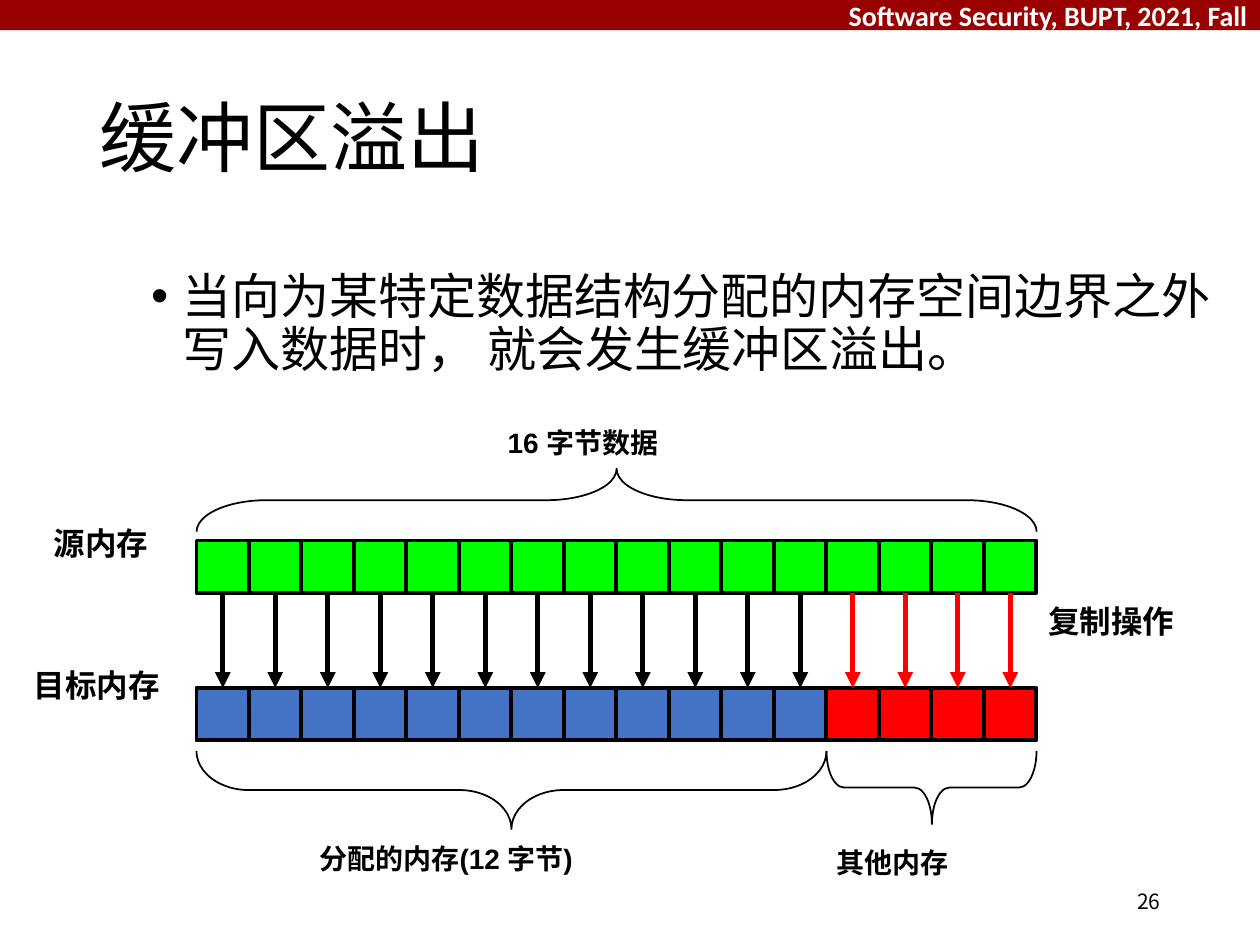
"""Build the buffer overflow slide with its memory copy diagram."""
from lxml import etree
from pptx import Presentation
from pptx.dml.color import RGBColor
from pptx.enum.shapes import MSO_CONNECTOR, MSO_SHAPE
from pptx.enum.text import MSO_ANCHOR, MSO_AUTO_SIZE, PP_ALIGN
from pptx.oxml.ns import qn
from pptx.util import Inches, Pt

RECTANGLE, BRACE = MSO_SHAPE.RECTANGLE, MSO_SHAPE.LEFT_BRACE
STRAIGHT = MSO_CONNECTOR.STRAIGHT
LEFT, RIGHT = PP_ALIGN.LEFT, PP_ALIGN.RIGHT
TOP, MIDDLE = MSO_ANCHOR.TOP, MSO_ANCHOR.MIDDLE
NO_AUTOSIZE = MSO_AUTO_SIZE.NONE

BLACK, WHITE, MAROON = "000000", "FFFFFF", "990000"
GREEN, BLUE, RED = "00FF00", "4472C4", "FF0000"

TITLE = "缓冲区溢出"
BODY = "当向为某特定数据结构分配的内存空间边界之外写入数据时， 就会发生缓冲区溢出。"
HEADER = "Software Security, BUPT, 2021, Fall"
PAGE_NUMBER = "26"
LABELS = [
    ("16 字节数据", (3.93, 3.33, 1.93, 0.37), 16, True),
    ("源内存", (0.33, 4.11, 0.97, 0.4), 18, False),
    ("复制操作", (8.22, 4.73, 1.22, 0.4), 18, False),
    ("目标内存", (0.17, 5.24, 1.22, 0.4), 18, False),
    ("分配的内存(12 字节)", (2.44, 6.63, 2.25, 0.37), 16, True),
    ("其他内存", (6.54, 6.66, 1.11, 0.37), 16, False),
]

COUNT, ALLOCATED = 16, 12
CELL = 5 / 12
GRID_LEFT, SOURCE_TOP, TARGET_TOP = 1.56, 4.29, 5.46
BRACES = [
    (0, COUNT, 3.72, 0.5, 90, (1.111, 0.5)),
    (0, ALLOCATED, 5.96, 0.62, 270, (0.667, 0.5)),
    (ALLOCATED, COUNT, 5.96, 0.58, 270, (0.238, 0.502)),
]


def color(value):
    return RGBColor.from_string(value)


def place(shape, box):
    shape.left, shape.top, shape.width, shape.height = map(Inches, box)


def write(shape, text, size, name="Arial", ink=BLACK, bold=False,
          align=LEFT, anchor=TOP, wrap=True):
    frame = shape.text_frame
    frame.text = text
    frame.word_wrap = wrap
    frame.auto_size = NO_AUTOSIZE
    frame.vertical_anchor = anchor
    para = frame.paragraphs[0]
    para.alignment = align
    para.font.size, para.font.name, para.font.bold = Pt(size), name, bold
    para.font.color.rgb = color(ink)
    return para


def add_text(page, text, box, size, **style):
    return write(page.shapes.add_textbox(*map(Inches, box)), text, size, **style)


def add_rectangle(page, box, fill, line_width=None):
    shape = page.shapes.add_shape(RECTANGLE, *map(Inches, box))
    shape.shadow.inherit = False
    shape.fill.solid()
    shape.fill.fore_color.rgb = color(fill)
    if line_width:
        shape.line.color.rgb = color(BLACK)
        shape.line.width = Pt(line_width)
    else:
        shape.line.fill.background()


def add_brace(page, first, last, top, depth, rotation, adjustments):
    span = (last - first) * CELL
    center_x = GRID_LEFT + first * CELL + span / 2
    box = (center_x - depth / 2, top + depth / 2 - span / 2, depth, span)
    brace = page.shapes.add_shape(BRACE, *map(Inches, box))
    brace.rotation = rotation
    brace.shadow.inherit = False
    brace.fill.background()
    brace.line.color.rgb = color(BLACK)
    brace.line.width = Pt(1)
    for index, value in enumerate(adjustments):
        brace.adjustments[index] = value


def add_arrow(page, x, top, bottom, ink):
    arrow = page.shapes.add_connector(STRAIGHT, *map(Inches, (x, top, x, bottom)))
    arrow.line.color.rgb = color(ink)
    arrow.line.width = Pt(3)
    properties = arrow._element.spPr
    etree.SubElement(properties.find(qn("a:ln")), qn("a:tailEnd"), type="triangle")
    etree.SubElement(properties, qn("a:effectLst"))


deck = Presentation()
deck.slide_width, deck.slide_height = Inches(10), Inches(7.5)
page = deck.slides.add_slide(deck.slide_layouts[1])

add_rectangle(page, (0, -0.01, 10, 0.25), MAROON)
add_text(page, HEADER, (4.17, -0.06, 5.83, 0.37), 16, name="Calibri",
         ink=WHITE, bold=True, align=RIGHT)

title, body = page.placeholders
place(title, (0.69, 0.4, 8.62, 1.45))
write(title, TITLE, 44, anchor=MIDDLE).line_spacing = 0.9

place(body, (1.1, 2.11, 8.91, 1.01))
para = write(body, BODY, 28)
para.line_spacing = 0.9
para.space_before = Pt(10)
bullet = para._p.get_or_add_pPr()
bullet.set("marL", str(Inches(0.25)))
bullet.set("indent", str(Inches(-0.25)))

for brace in BRACES:
    add_brace(page, *brace)
for text, box, size, wrap in LABELS:
    add_text(page, text, box, size, bold=True, wrap=wrap)

for index in range(COUNT):
    left = GRID_LEFT + index * CELL
    inside = index < ALLOCATED
    add_rectangle(page, (left, SOURCE_TOP, CELL, CELL), GREEN, 2.25)
    add_rectangle(page, (left, TARGET_TOP, CELL, CELL), BLUE if inside else RED, 2.25)
for index in range(COUNT):
    add_arrow(page, GRID_LEFT + (index + 0.5) * CELL, SOURCE_TOP + CELL, TARGET_TOP,
              BLACK if index < ALLOCATED else RED)

add_text(page, PAGE_NUMBER, (7.06, 6.95, 2.25, 0.4), 12, name="Noto Sans CJK SC",
         align=RIGHT, anchor=MIDDLE)

deck.save("out.pptx")
